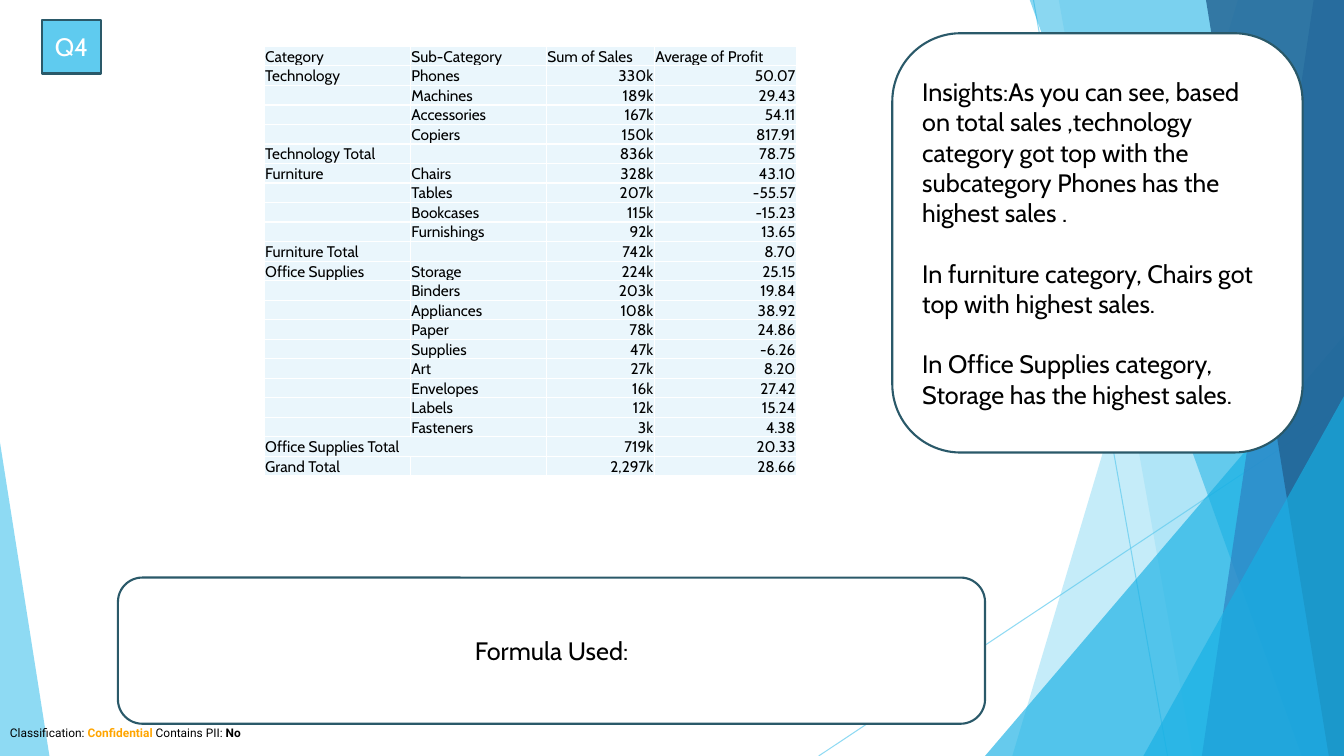
from lxml import etree
from pptx import Presentation
from pptx.dml.color import RGBColor
from pptx.enum import shapes, text
from pptx.oxml import ns
from pptx.util import Inches, Pt

SKY = RGBColor(0x5F, 0xCB, 0xEF)
CYAN = RGBColor(0x17, 0xB0, 0xE4)
BLUE = RGBColor(0x2E, 0x83, 0xC3)
NAVY = RGBColor(0x22, 0x62, 0x92)
OUTLINE = RGBColor(0x2A, 0x59, 0x69)
CELL = RGBColor(0xEA, 0xF6, 0xFC)
ORANGE = RGBColor(0xFF, 0xA5, 0x00)
WHITE = RGBColor(0xFF, 0xFF, 0xFF)
BLACK = RGBColor(0, 0, 0)
WIDTH, HEIGHT = 13.33, 7.5

prs = Presentation()
prs.slide_width, prs.slide_height = Inches(WIDTH), Inches(HEIGHT)
slide = prs.slides.add_slide(prs.slide_layouts[6])


def set_opacity(shape, percent):
    for color in shape._element.spPr.iter(ns.qn("a:srgbClr")):
        etree.SubElement(color, ns.qn("a:alpha"), val=str(percent * 1000))


def set_font(paragraph, size, color):
    paragraph.font.name = "Cabin"
    paragraph.font.size = Pt(size)
    paragraph.font.color.rgb = color


# Thin crossing lines behind the facets
for x1, y1, x2, y2 in [(10.25, 0, 11.58, HEIGHT), (WIDTH, 4.03, 8.12, HEIGHT)]:
    ray = slide.shapes.add_connector(
        shapes.MSO_CONNECTOR.STRAIGHT, Inches(x1), Inches(y1), Inches(x2), Inches(y2))
    ray.line.color.rgb = SKY
    ray.line.width = Pt(0.75)
    set_opacity(ray, 70)
    etree.SubElement(ray._element.spPr, ns.qn("a:effectLst"))

# Facets: bands run from a top x and a bottom x to the right edge,
# triangles have left, top, width and the position of their apex
facets = [
    ((12.28, 10.04), SKY, 36),
    ((10.5, 11.83), SKY, 20),
    ((9.77, 3.33, 3.56, 1), CYAN, 66),
    ((10.21, 12.91), CYAN, 50),
    ((13.03, 11.92), BLUE, 70),
    ((11.96, 13.18), NAVY, 80),
    ((11.34, 3.93, 1.99, 1), CYAN, 66),
    ((0, 4.39, 0.49, 0), SKY, 70),
]
for geometry, color, opacity in facets:
    if len(geometry) == 2:
        top_x, bottom_x = geometry
        outline = slide.shapes.build_freeform(Inches(top_x), Inches(-0.01))
        outline.add_line_segments(
            [(Inches(x), Inches(y)) for x, y in
             [(WIDTH, -0.01), (WIDTH, HEIGHT), (bottom_x, HEIGHT)]])
        facet = outline.convert_to_shape()
    else:
        left, top, width, apex = geometry
        facet = slide.shapes.add_shape(
            shapes.MSO_SHAPE.ISOSCELES_TRIANGLE,
            Inches(left), Inches(top), Inches(width), Inches(HEIGHT - top))
        facet.adjustments[0] = apex
    facet.shadow.inherit = False
    facet.fill.solid()
    facet.fill.fore_color.rgb = color
    facet.line.fill.background()
    set_opacity(facet, opacity)

# Classification footer
footer = slide.shapes.add_textbox(Inches(0), Inches(7.15), Inches(WIDTH), Inches(0.24))
footer.text_frame.word_wrap = True
for words, color, bold in [("Classification: ", BLACK, False), ("Confidential", ORANGE, True),
                           (" Contains PII: ", BLACK, False), ("No", BLACK, True)]:
    run = footer.text_frame.paragraphs[0].add_run()
    run.text = words
    run.font.name = "Roboto"
    run.font.size = Pt(8.5)
    run.font.bold = bold
    run.font.color.rgb = color

# Question badge, insights and formula boxes
RECT, ROUND = shapes.MSO_SHAPE.RECTANGLE, shapes.MSO_SHAPE.ROUNDED_RECTANGLE
LEFT, CENTER, RIGHT = text.PP_ALIGN.LEFT, text.PP_ALIGN.CENTER, text.PP_ALIGN.RIGHT
insights = [
    "Insights:As you can see, based on total sales ,technology category got top with "
    "the subcategory Phones has the highest sales .",
    "In furniture category, Chairs got top with highest sales.",
    "In Office Supplies category, Storage has the highest sales.",
]
boxes = [
    (RECT, (0.42, 0.2, 0.58, 0.53), SKY, WHITE, CENTER, ["Q4"]),
    (ROUND, (8.85, 0.33, 4.07, 4.16), WHITE, BLACK, LEFT, insights),
    (ROUND, (1.17, 5.73, 8.6, 1.45), WHITE, BLACK, CENTER, ["Formula Used:"]),
]
for preset, place, fill, color, align, lines in boxes:
    box = slide.shapes.add_shape(preset, *map(Inches, place))
    box.shadow.inherit = False
    box.fill.solid()
    box.fill.fore_color.rgb = fill
    box.line.color.rgb = OUTLINE
    box.line.width = Pt(1.5)
    frame = box.text_frame
    frame.word_wrap = True
    frame.vertical_anchor = text.MSO_ANCHOR.MIDDLE
    for i, line in enumerate(lines):
        paragraph = frame.add_paragraph() if i else frame.paragraphs[0]
        paragraph.text = line
        paragraph.alignment = align
        if i:
            paragraph.space_before = Pt(21.6)
        set_font(paragraph, 18, color)

# Sales and profit table
rows = [
    ("Category", "Sub-Category", "Sum of Sales", "Average of Profit"),
    ("Technology", "Phones", "330k", "50.07"),
    ("", "Machines", "189k", "29.43"),
    ("", "Accessories", "167k", "54.11"),
    ("", "Copiers", "150k", "817.91"),
    ("Technology Total", "", "836k", "78.75"),
    ("Furniture", "Chairs", "328k", "43.10"),
    ("", "Tables", "207k", "-55.57"),
    ("", "Bookcases", "115k", "-15.23"),
    ("", "Furnishings", "92k", "13.65"),
    ("Furniture Total", "", "742k", "8.70"),
    ("Office Supplies", "Storage", "224k", "25.15"),
    ("", "Binders", "203k", "19.84"),
    ("", "Appliances", "108k", "38.92"),
    ("", "Paper", "78k", "24.86"),
    ("", "Supplies", "47k", "-6.26"),
    ("", "Art", "27k", "8.20"),
    ("", "Envelopes", "16k", "27.42"),
    ("", "Labels", "12k", "15.24"),
    ("", "Fasteners", "3k", "4.38"),
    ("Office Supplies Total", "", "719k", "20.33"),
    ("Grand Total", "", "2,297k", "28.66"),
]
sales = slide.shapes.add_table(
    len(rows), 4, Inches(2.62), Inches(0.46), Inches(5.28), Inches(4.24)).table
for column, width in zip(sales.columns, [1.45, 1.35, 1.07, 1.41]):
    column.width = Inches(width)
for r, values in enumerate(rows):
    for c, value in enumerate(values):
        cell = sales.cell(r, c)
        cell.text = value
        cell.vertical_anchor = text.MSO_ANCHOR.BOTTOM
        cell.margin_left = cell.margin_right = cell.margin_top = Inches(0.01)
        cell.margin_bottom = 0
        paragraph = cell.text_frame.paragraphs[0]
        paragraph.alignment = RIGHT if r and c > 1 else LEFT
        set_font(paragraph, 11, BLACK)
        if not value:  # keeps empty cells from stretching the row
            etree.SubElement(paragraph._p, ns.qn("a:endParaRPr"), sz="1100")
        for side in ("lnL", "lnR", "lnT", "lnB"):
            border = etree.SubElement(cell._tc.get_or_add_tcPr(), ns.qn("a:" + side), w="12700")
            paint = etree.SubElement(border, ns.qn("a:solidFill"))
            etree.SubElement(paint, ns.qn("a:srgbClr"), val=str(WHITE))
        cell.fill.solid()
        cell.fill.fore_color.rgb = CELL
office_total = len(rows) - 2
sales.cell(office_total, 0).merge(sales.cell(office_total, 1))

prs.save("out.pptx")
